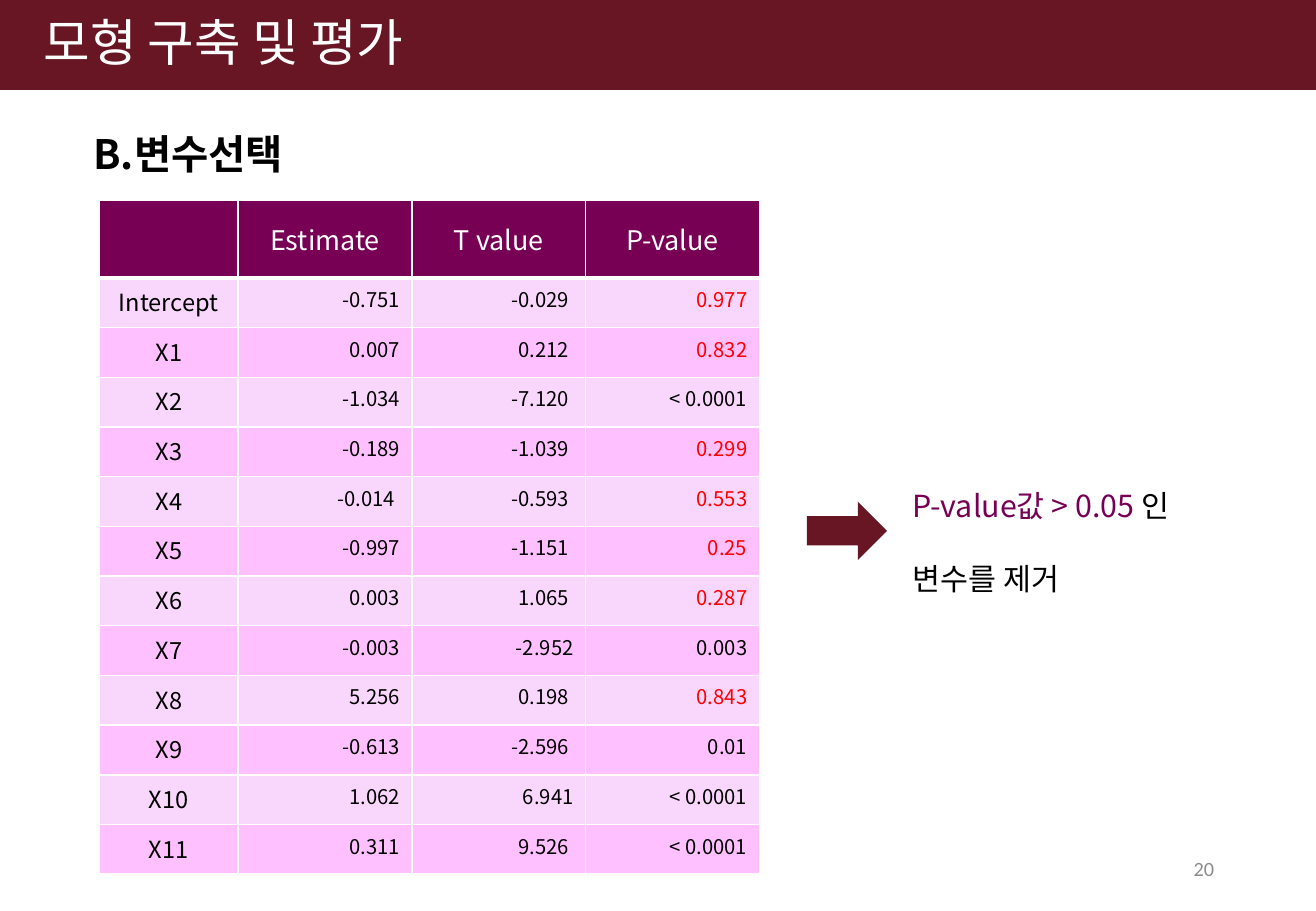
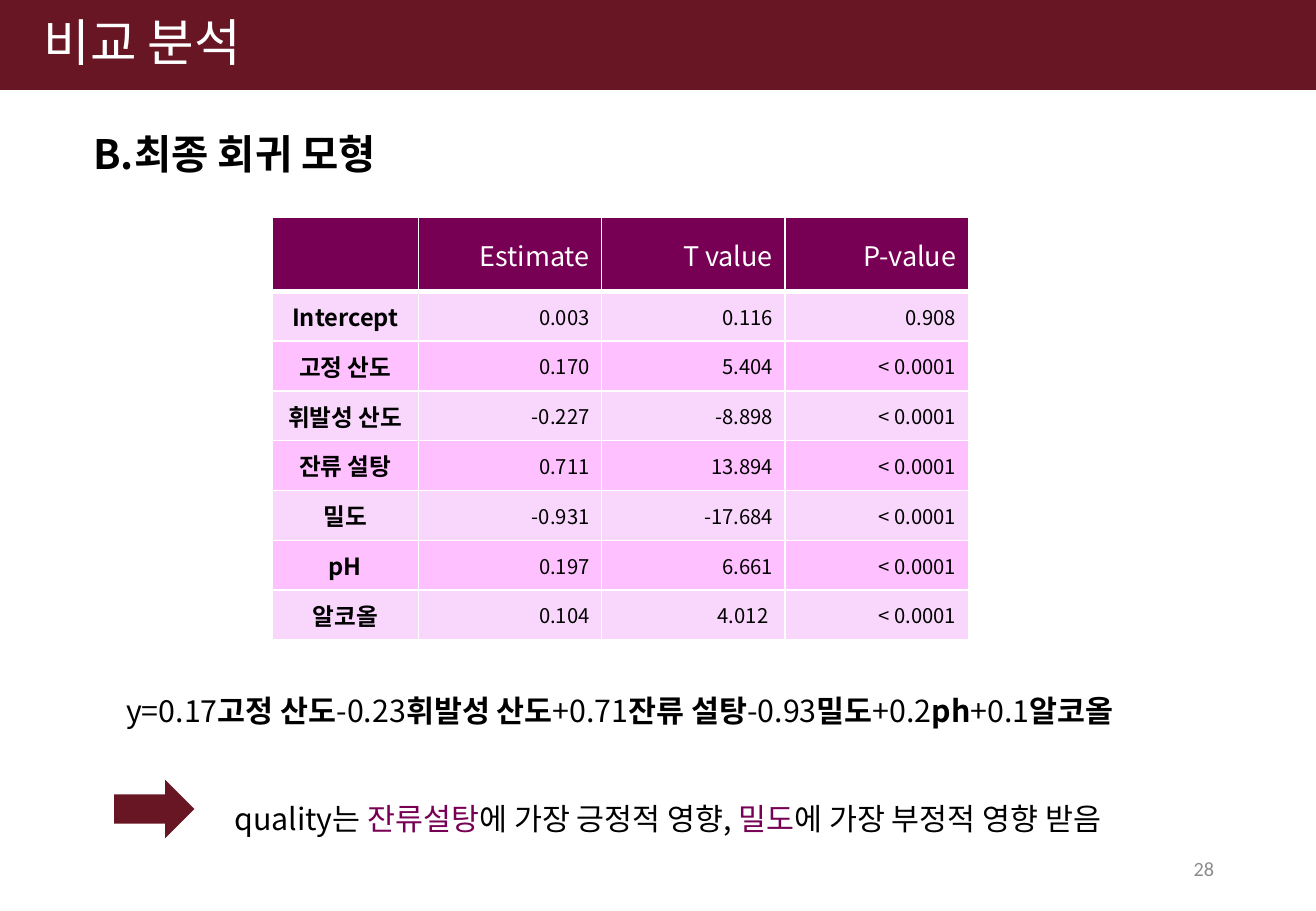
from lxml import etree
from pptx import Presentation
from pptx.dml.color import RGBColor
from pptx.enum.shapes import MSO_SHAPE
from pptx.enum.text import MSO_ANCHOR, PP_ALIGN
from pptx.oxml.ns import qn
from pptx.util import Inches, Pt

RECT, ARROW = MSO_SHAPE.RECTANGLE, MSO_SHAPE.RIGHT_ARROW
TOP, MIDDLE = MSO_ANCHOR.TOP, MSO_ANCHOR.MIDDLE
LEFT, CENTER, RIGHT = PP_ALIGN.LEFT, PP_ALIGN.CENTER, PP_ALIGN.RIGHT

WIDE, HIGH = Inches(10.83), Inches(7.5)
COLS = ROWS = 100
HANGUL, LATIN = "Noto Sans CJK KR", "Calibri"
COLORS = {
    "wine": "681524", "plum": "770055", "pale": "F9D6FC", "pink": "FFC0FF",
    "white": "FFFFFF", "black": "000000", "red": "FF0000", "gray": "8C8C8C",
}

BAND = (0, 0, 100, 9.87)
TITLE = (2.4, 1.33, 92.34, 9.87)
HEADING = (6.19, 13.47, 63.53, 6.8)
NUMBER = (70.64, 92.67, 22.53, 5.33)

HEADS = ("", "Estimate", "T value", "P-value")
CHOICE = (
    ("Intercept", "-0.751", "-0.029 ", "0.977"),
    ("X1", "0.007", "0.212 ", "0.832"),
    ("X2", "-1.034", "-7.120 ", "< 0.0001"),
    ("X3", "-0.189", "-1.039 ", "0.299"),
    ("X4", "-0.014 ", "-0.593 ", "0.553"),
    ("X5", "-0.997", "-1.151 ", "0.25"),
    ("X6", "0.003", "1.065 ", "0.287"),
    ("X7", "-0.003", "-2.952", "0.003"),
    ("X8", "5.256", "0.198 ", "0.843"),
    ("X9", "-0.613", "-2.596 ", "0.01"),
    ("X10", "1.062", "6.941", "< 0.0001"),
    ("X11", "0.311", "9.526 ", "< 0.0001"),
)
FINAL = (
    ("Intercept", "0.003", "0.116", "0.908"),
    ("고정 산도", "0.170", "5.404", "< 0.0001"),
    ("휘발성 산도", "-0.227", "-8.898", "< 0.0001"),
    ("잔류 설탕", "0.711", "13.894", "< 0.0001"),
    ("밀도", "-0.931", "-17.684", "< 0.0001"),
    ("pH", "0.197", "6.661", "< 0.0001"),
    ("알코올", "0.104", "4.012 ", "< 0.0001"),
)
TERMS = (
    ("y=0.17", "고정 산도"), ("-0.23", "휘발성 산도"), ("+0.71", "잔류 설탕"),
    ("-0.93", "밀도"), ("+0.2", "ph"), ("+0.1", "알코올"),
)


def color(name):
    return RGBColor.from_string(COLORS[name])


def place(box):
    x, y, w, h = box
    return (round(WIDE * x / COLS), round(HIGH * y / ROWS),
            round(WIDE * w / COLS), round(HIGH * h / ROWS))


def add_run(para, text, size, tint="black", bold=False, face=HANGUL):
    run = para.add_run()
    run.text = text
    font = run.font
    font.size, font.bold = Pt(size), bold
    font.color.rgb = color(tint)
    font.name = face
    east = etree.SubElement(run._r.get_or_add_rPr(), qn("a:ea"))
    east.set("typeface", HANGUL)


def add_text(slide, box, lines, size, align=LEFT, anchor=TOP,
             space=None, indent=0, face=HANGUL):
    frame = slide.shapes.add_textbox(*place(box)).text_frame
    frame.word_wrap = True
    frame.vertical_anchor = anchor
    for i, line in enumerate(lines):
        para = frame.add_paragraph() if i else frame.paragraphs[0]
        para.alignment = align
        para.line_spacing = space
        para._p.get_or_add_pPr().set("marL", str(Inches(indent)))
        for text, tint, bold in line:
            add_run(para, text, size, tint, bold, face)


def add_block(slide, box, kind):
    shape = slide.shapes.add_shape(kind, *place(box))
    shape.shadow.inherit = False
    shape.fill.solid()
    shape.fill.fore_color.rgb = color("wine")
    shape.line.fill.background()


def add_arrow(slide, x, y):
    add_block(slide, (x, y, 6.09, 6.4), ARROW)


def add_edges(cell, base):
    props = cell._tc.get_or_add_tcPr()
    for side, width in (("L", 1), ("R", 1), ("T", 1), ("B", base)):
        edge = etree.SubElement(props, qn("a:ln" + side), w=str(Pt(width)))
        fill = etree.SubElement(edge, qn("a:solidFill"))
        etree.SubElement(fill, qn("a:srgbClr"), val=COLORS["white"])


def add_grid(slide, box, body, top, align, anchor, bold=False, mark=False):
    rows = (HEADS,) + body
    left, up, wide, high = place(box)
    table = slide.shapes.add_table(len(rows), len(HEADS), left, up, wide, high).table
    for c, column in enumerate(table.columns):
        column.width = round(wide * (0.79 / 3 if c else 0.21))
    for r, row in enumerate(rows):
        table.rows[r].height = round(high * ((1 - top) / len(body) if r else top))
        for c, text in enumerate(row):
            cell = table.cell(r, c)
            add_edges(cell, 1 if r else 3)
            cell.fill.solid()
            cell.fill.fore_color.rgb = color(("pink", "pale")[r % 2] if r else "plum")
            cell.vertical_anchor = anchor if r else MIDDLE
            para = cell.text_frame.paragraphs[0]
            if not r:
                para.alignment = align
                if text:
                    add_run(para, text, 16, "white")
            elif not c:
                para.alignment = CENTER
                add_run(para, text, 14, bold=bold)
            else:
                para.alignment = RIGHT
                large = mark and c == 3 and "<" not in text and float(text) > 0.05
                add_run(para, text, 12, "red" if large else "black")


def add_page(deck, title, heading, number, face):
    slide = deck.slides.add_slide(deck.slide_layouts[6])
    add_block(slide, BAND, RECT)
    add_text(slide, TITLE, [[(title, "white", False)]], 30, space=0.9, face=face)
    add_text(slide, HEADING, [[(heading, "black", True)]], 24)
    add_text(slide, NUMBER, [[(number, "gray", False)]], 12, RIGHT, MIDDLE, face=LATIN)
    return slide


def add_choice(deck):
    slide = add_page(deck, "모형 구축 및 평가", "B.변수선택", "20", LATIN)
    add_grid(slide, (7.57, 22, 50.14, 74), CHOICE, 0.115, CENTER, TOP, mark=True)
    add_arrow(slide, 61.31, 55.07)
    add_text(slide, (67.41, 48.8, 25.85, 17.47), [
        [("P-value값 > 0.05 ", "plum", False), ("인", "black", False)],
        [("변수를 제거", "black", False)],
    ], 18, space=2, indent=0.11)


def add_final(deck):
    slide = add_page(deck, "비교 분석", "B.최종 회귀 모형", "28", HANGUL)
    add_grid(slide, (20.68, 23.87, 52.91, 46.4), FINAL, 0.175, RIGHT, MIDDLE, bold=True)
    sum_line = [(text, "black", bold) for term in TERMS
                for text, bold in zip(term, (False, True))]
    add_text(slide, (8.68, 75.33, 91.32, 5.33), [sum_line], 18)
    add_arrow(slide, 8.68, 85.6)
    add_text(slide, (15.88, 83.2, 82.73, 16.53), [[
        ("quality는 ", "black", False), ("잔류설탕", "plum", False),
        ("에 가장 긍정적 영향, ", "black", False), ("밀도", "plum", False),
        ("에 가장 부정적 영향 받음", "black", False),
    ]], 18, space=2, indent=0.11)


def main():
    deck = Presentation()
    deck.slide_width, deck.slide_height = WIDE, HIGH
    add_choice(deck)
    add_final(deck)
    deck.save("out.pptx")


if __name__ == "__main__":
    main()
